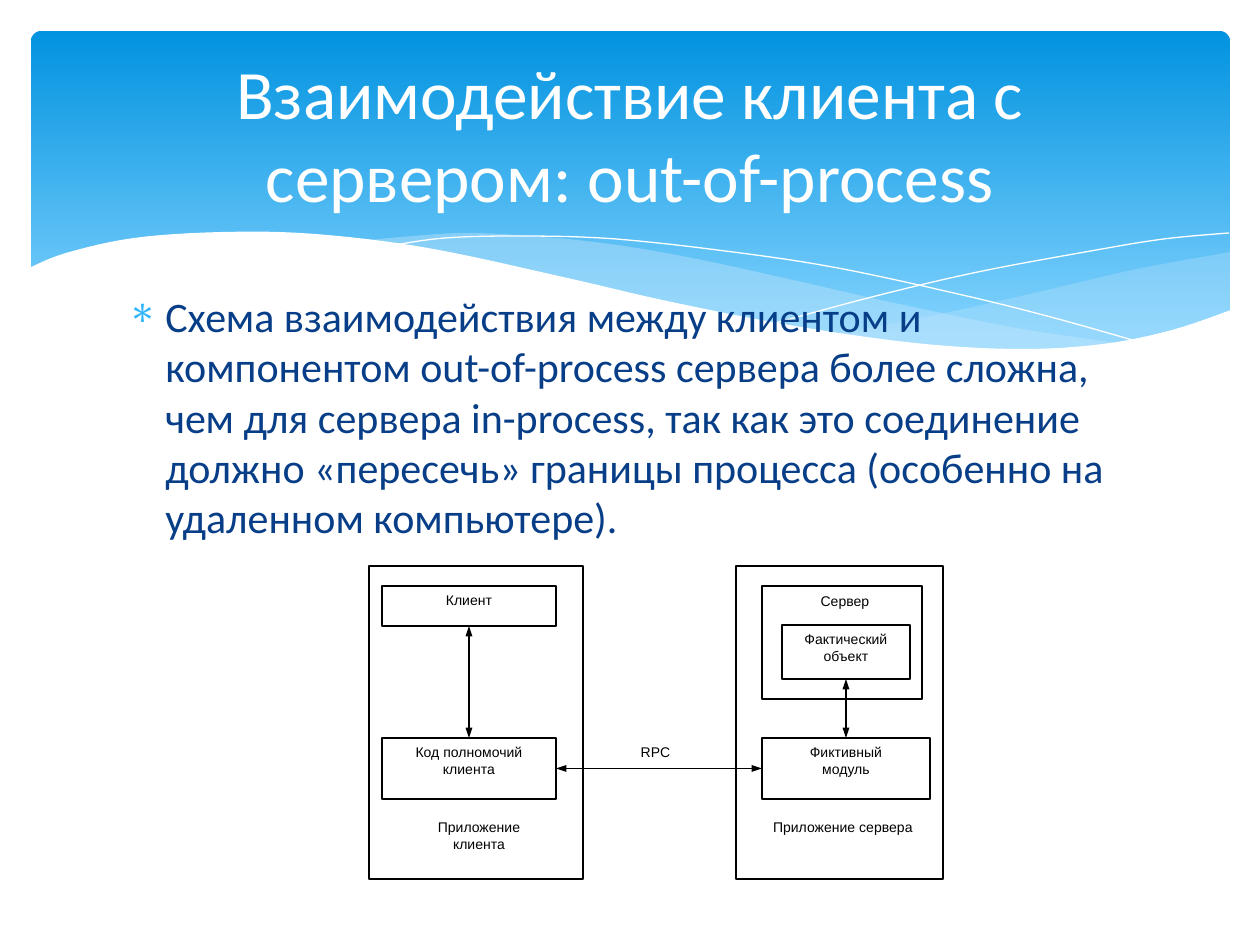
from lxml import etree
from pptx import Presentation, util as u
from pptx.dml.color import RGBColor
from pptx.enum import shapes, text
from pptx.oxml import ns

SCALE = 914400 / 126  # EMU in one px
COLORS = {
    "sky_top": "0293E0", "sky_bottom": "83D3FE", "mist": "C6E7FC",
    "white": "FFFFFF", "black": "000000", "body": "073E87", "bullet": "31B6FD",
}

RIGHT_WAVE = [
    [(1230, 252), (1142, 268), (1085, 281), (982, 305), (890, 324), (833, 334)],
    [(833, 334), (922, 345), (1012, 350), (1087, 347), (1160, 334), (1230, 311)],
]
LEFT_WAVE = [
    [(1125, 344), (1017, 328), (890, 302), (793, 280), (682, 256), (586, 241),
     (479, 233), (413, 236), (360, 241)],
    [(360, 241), (456, 256), (566, 280), (713, 312), (838, 335), (942, 348),
     (1031, 350), (1080, 349), (1125, 344)],
]
FALLING_LINE = [(389, 246), (445, 238), (524, 236), (616, 239), (733, 252),
                (838, 268), (958, 294), (1047, 316), (1143, 343)]
RISING_LINE = [(772, 324), (876, 296), (978, 272), (1091, 251), (1164, 239),
               (1229, 233)]
WHITE_EDGE = [(1231, 310), (1172, 330), (1103, 344), (1019, 349), (915, 343),
              (789, 325), (667, 301), (563, 277), (428, 248), (315, 234),
              (223, 232), (134, 238), (66, 253), (29, 268)]
WHITE_BASE = [(29, 415), (1231, 415)]


def px(value):
    return u.Emu(round(value * SCALE))


def rgb(name):
    return RGBColor.from_string(COLORS[name])


def add_xml(parent, tag, **attributes):
    return etree.SubElement(parent, ns.qn(tag), **attributes)


def curve(knots, steps=6):
    """Sample a Catmull-Rom spline that runs through the knots."""
    padded = [knots[0], *knots, knots[-1]]
    points = [knots[0]]
    for a, b, c, d in zip(padded, padded[1:], padded[2:], padded[3:]):
        for step in range(1, steps + 1):
            t = step / steps
            points.append(tuple(
                (2 * q + (r - p) * t + (2 * p - 5 * q + 4 * r - s) * t ** 2
                 + (3 * q - p - 3 * r + s) * t ** 3) / 2
                for p, q, r, s in zip(a, b, c, d)))
    return points


def add_outline(page, points, fill=None, opacity=100, line=None):
    """Draw a filled closed outline, or an open line where fill is None."""
    first, *rest = [(px(x), px(y)) for x, y in points]
    builder = page.shapes.build_freeform(*first, scale=1.0)
    builder.add_line_segments(rest, close=fill is not None)
    outline = builder.convert_to_shape()
    outline.shadow.inherit = False
    if fill:
        outline.fill.solid()
        outline.fill.fore_color.rgb = rgb(fill)
        if opacity < 100:
            color = outline.element.find(".//" + ns.qn("a:srgbClr"))
            add_xml(color, "a:alpha", val=str(opacity * 1000))
    else:
        outline.fill.background()
    if line:
        outline.line.color.rgb = rgb(line)
        outline.line.width = 0
    else:
        outline.line.fill.background()


def add_banner(page):
    banner = page.shapes.add_shape(shapes.MSO_SHAPE.ROUNDED_RECTANGLE,
                                   px(31), px(31), px(1199), px(340))
    banner.adjustments[0] = 0.03
    banner.shadow.inherit = False
    banner.line.fill.background()
    banner.fill.gradient()
    banner.fill.gradient_angle = 270
    stops = zip(banner.fill.gradient_stops, ("sky_top", "sky_bottom"), (0, 0.9))
    for stop, color, position in stops:
        stop.color.rgb = rgb(color)
        stop.position = position


def add_waves(page):
    for edges, opacity in ((RIGHT_WAVE, 29), (LEFT_WAVE, 40)):
        points = [point for edge in edges for point in curve(edge)]
        add_outline(page, points, "mist", opacity)
    for knots in (FALLING_LINE, RISING_LINE):
        add_outline(page, curve(knots), line="white")
    add_outline(page, curve(WHITE_EDGE) + WHITE_BASE, "white")


def style(para, font, size, color):
    para.font.name = font
    para.font.size = u.Pt(size)
    para.font.color.rgb = rgb(color)


def add_body(page, words):
    box = page.shapes.add_textbox(px(115), px(284), px(1020), px(268))
    box.text_frame.word_wrap = True
    para = box.text_frame.paragraphs[0]
    para.text = words
    para.space_before = u.Pt(4.8)
    properties = para._p.get_or_add_pPr()
    properties.set("marL", str(px(38)))
    properties.set("indent", str(px(-38)))
    add_xml(add_xml(properties, "a:buClr"), "a:srgbClr", val=COLORS["bullet"])
    add_xml(properties, "a:buChar", char="∗")
    style(para, "Calibri", 24, "body")


def set_title(page, words):
    title = page.shapes.title
    title.left, title.top, title.width, title.height = map(px, (63, 47, 1134, 173))
    frame = title.text_frame
    frame.text = words
    frame.word_wrap = True
    frame.auto_size = text.MSO_AUTO_SIZE.NONE
    frame.vertical_anchor = text.MSO_ANCHOR.MIDDLE
    para = frame.paragraphs[0]
    para.alignment = text.PP_ALIGN.CENTER
    style(para, "Calibri", 39.6, "white")
    title.element.getparent().append(title.element)  # bring above the banner


def add_box(page, bounds, words="", border=True, side=13, edge=6):
    """Add a white diagram box; side and edge are its text insets."""
    box = page.shapes.add_shape(shapes.MSO_SHAPE.RECTANGLE, *map(px, bounds))
    box.shadow.inherit = False
    box.fill.solid()
    box.fill.fore_color.rgb = rgb("white")
    if border:
        box.line.color.rgb = rgb("black")
        box.line.width = u.Pt(0.75)
    else:
        box.line.fill.background()
    if words:
        frame = box.text_frame
        frame.word_wrap = True
        frame.vertical_anchor = text.MSO_ANCHOR.TOP
        frame.margin_left = frame.margin_right = px(side)
        frame.margin_top = frame.margin_bottom = px(edge)
        para = frame.paragraphs[0]
        para.text = words
        para.alignment = text.PP_ALIGN.CENTER
        style(para, "Arial", 8, "black")
    return box


def add_arrow(page, start, start_side, end, end_side):
    arrow = page.shapes.add_connector(shapes.MSO_CONNECTOR.STRAIGHT, 0, 0, 0, 0)
    arrow.begin_connect(start, start_side)
    arrow.end_connect(end, end_side)
    arrow.line.color.rgb = rgb("black")
    arrow.line.width = u.Pt(0.75)
    line = arrow.line._get_or_add_ln()
    for tag in ("a:headEnd", "a:tailEnd"):
        add_xml(line, tag, type="triangle", w="sm", len="med")
    add_xml(arrow.element.spPr, "a:effectLst")


def add_diagram(page):
    add_box(page, (736, 566, 207, 313))
    add_box(page, (602, 738, 107, 34), "RPC", border=False)
    add_box(page, (369, 566, 214, 313))
    client = add_box(page, (382, 586, 174, 40), "Клиент")
    add_box(page, (389, 813, 180, 53), "Приложение\vклиента", border=False, side=3)
    add_box(page, (750, 813, 186, 60), "Приложение сервера", border=False)
    proxy = add_box(page, (382, 738, 174, 61), "Код полномочий клиента")
    stub = add_box(page, (762, 738, 168, 61), "Фиктивный\vмодуль")
    add_box(page, (762, 586, 160, 113))
    target = add_box(page, (782, 625, 128, 54), "Фактический\vобъект", side=3)
    add_box(page, (789, 592, 112, 32), "Сервер", border=False, edge=1)
    add_arrow(page, client, 2, proxy, 0)
    add_arrow(page, proxy, 3, stub, 1)
    add_arrow(page, stub, 0, target, 2)


def main():
    deck = Presentation()
    deck.slide_width, deck.slide_height = px(1260), px(945)
    page = deck.slides.add_slide(deck.slide_layouts[5])
    add_banner(page)
    add_waves(page)
    add_body(page, "Схема взаимодействия между клиентом и компонентом "
                   "out-of-process сервера более сложна, чем для сервера "
                   "in-process, так как это соединение должно «пересечь» границы "
                   "процесса (особенно на удаленном компьютере).")
    set_title(page, "Взаимодействие клиента с сервером: out-of-process")
    add_diagram(page)
    deck.save("out.pptx")


if __name__ == "__main__":
    main()
